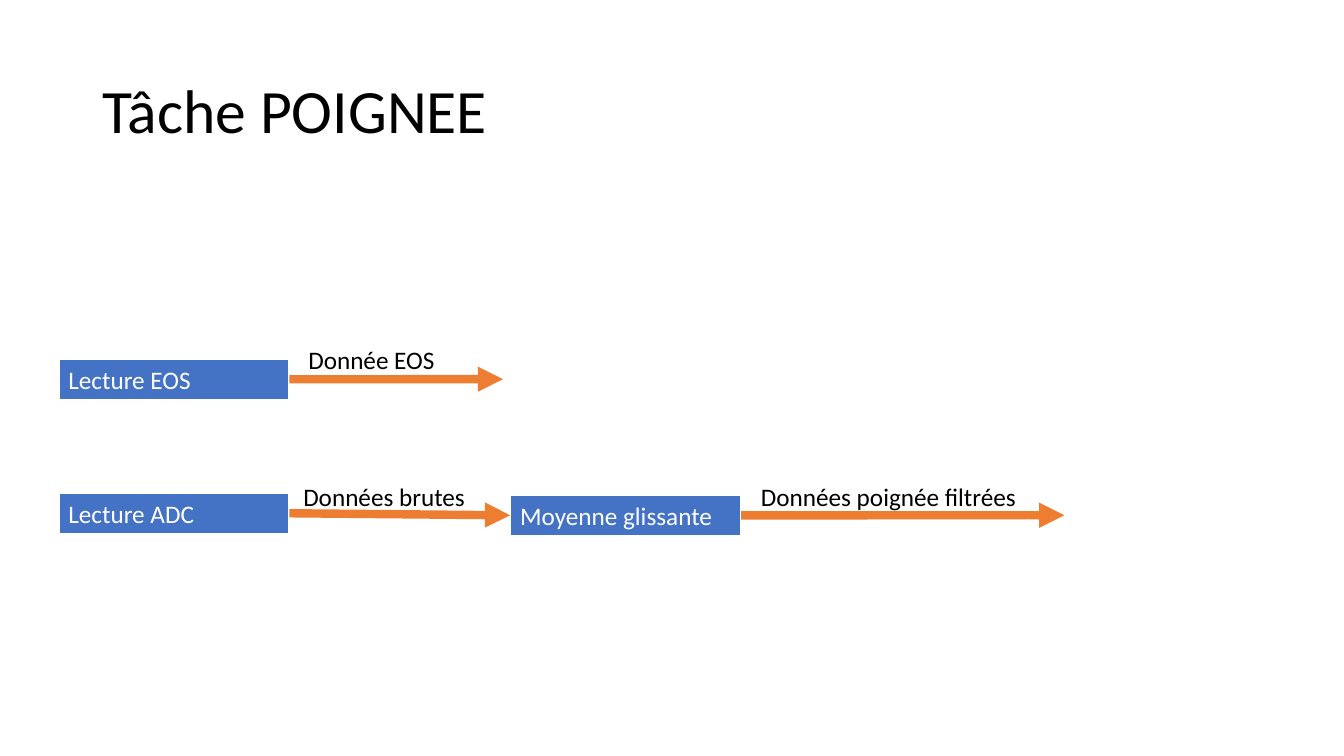
from pptx import Presentation
from pptx.dml.color import RGBColor
from pptx.enum.shapes import MSO_CONNECTOR, MSO_SHAPE
from pptx.enum.text import MSO_ANCHOR, MSO_AUTO_SIZE, PP_ALIGN
from pptx.oxml.ns import qn
from pptx.util import Inches, Pt
from lxml import etree

RECTANGLE = MSO_SHAPE.RECTANGLE
STRAIGHT = MSO_CONNECTOR.STRAIGHT
LEFT = PP_ALIGN.LEFT
TOP, MIDDLE = MSO_ANCHOR.TOP, MSO_ANCHOR.MIDDLE
FIXED_SIZE = MSO_AUTO_SIZE.NONE

BLACK = RGBColor(0x00, 0x00, 0x00)
WHITE = RGBColor(0xFF, 0xFF, 0xFF)
BLUE = RGBColor(0x44, 0x72, 0xC4)
ORANGE = RGBColor(0xED, 0x7D, 0x31)

FONT = "Calibri"
SLIDE_WIDTH, SLIDE_HEIGHT = Inches(13.33), Inches(7.5)
TITLE_ONLY = 5
LEFT_SIDE, RIGHT_SIDE = 1, 3
BOX_WIDTH, ROW_HEIGHT = 17.18, 5.39
FIRST_COLUMN, SECOND_COLUMN = 4.35, 37.96


def across(percent):
    return round(SLIDE_WIDTH * percent / 100)


def down(percent):
    return round(SLIDE_HEIGHT * percent / 100)


def area(left, top, width, height):
    return across(left), down(top), across(width), down(height)


def write_text(shape, text, size, color, anchor):
    frame = shape.text_frame
    frame.text = text
    frame.word_wrap = True
    frame.auto_size = FIXED_SIZE
    frame.vertical_anchor = anchor
    paragraph = frame.paragraphs[0]
    paragraph.alignment = LEFT
    font = paragraph.runs[0].font
    font.name = FONT
    font.size = Pt(size)
    font.color.rgb = color


def set_title(slide, text):
    title = slide.shapes.title
    title.left, title.top, title.width, title.height = area(6.88, 5.32, 86.25, 19.33)
    write_text(title, text, 44, BLACK, MIDDLE)
    title.text_frame.paragraphs[0].line_spacing = 0.9


def add_box(slide, text, left, top):
    box = slide.shapes.add_shape(RECTANGLE, *area(left, top, BOX_WIDTH, ROW_HEIGHT))
    box.shadow.inherit = False
    box.fill.solid()
    box.fill.fore_color.rgb = BLUE
    box.line.color.rgb = WHITE
    box.line.width = Pt(1.5)
    write_text(box, text, 18, WHITE, TOP)
    return box


def add_label(slide, text, left, top, width):
    label = slide.shapes.add_textbox(*area(left, top, width, ROW_HEIGHT))
    write_text(label, text, 18, BLACK, TOP)


def add_arrow(slide, source, end_x, end_y, target=None):
    start_x = source.left + source.width
    start_y = source.top + source.height // 2
    arrow = slide.shapes.add_connector(
        STRAIGHT, start_x, start_y, across(end_x), down(end_y))
    arrow.begin_connect(source, RIGHT_SIDE)
    if target is not None:
        arrow.end_connect(target, LEFT_SIDE)
    arrow.line.color.rgb = ORANGE
    arrow.line.width = Pt(6)
    etree.SubElement(arrow.line._get_or_add_ln(), qn("a:tailEnd"), type="triangle")
    etree.SubElement(arrow._element.spPr, qn("a:effectLst"))


def main():
    presentation = Presentation()
    presentation.slide_width = SLIDE_WIDTH
    presentation.slide_height = SLIDE_HEIGHT
    slide = presentation.slides.add_slide(presentation.slide_layouts[TITLE_ONLY])

    set_title(slide, "Tâche POIGNEE")

    eos = add_box(slide, "Lecture EOS", FIRST_COLUMN, 47.47)
    adc = add_box(slide, "Lecture ADC", FIRST_COLUMN, 65.2)
    average = add_box(slide, "Moyenne glissante", SECOND_COLUMN, 65.47)

    add_label(slide, "Donnée EOS", 22.2, 44.93, 11.85)
    add_label(slide, "Données brutes", 21.83, 63.07, 14.78)
    add_label(slide, "Données poignée filtrées", 55.88, 63.07, 23.33)

    add_arrow(slide, eos, 37.43, 50.16)
    add_arrow(slide, adc, SECOND_COLUMN, 68.16, average)
    add_arrow(slide, average, 79.2, 68.16)

    presentation.save("out.pptx")


if __name__ == "__main__":
    main()
